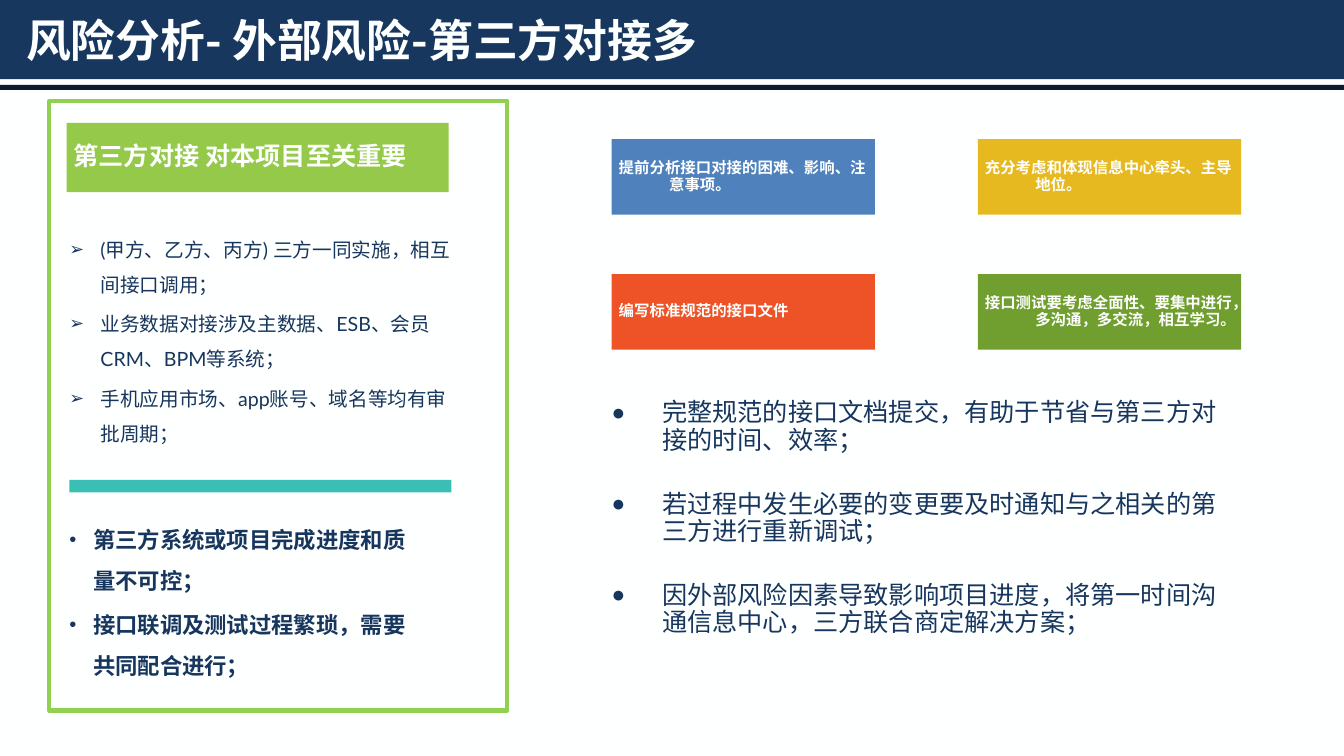
from dataclasses import dataclass

from pptx import Presentation
from pptx.dml.color import RGBColor
from pptx.enum.shapes import MSO_SHAPE
from pptx.enum.text import MSO_ANCHOR, MSO_AUTO_SIZE, PP_ALIGN
from pptx.oxml.ns import qn
from pptx.oxml.xmlchemy import OxmlElement
from pptx.util import Pt


@dataclass(frozen=True)
class Theme:
    paper: str = "FEFFFF"
    banner: str = "17375E"
    rule: str = "0C1B2F"
    ink: str = "17365E"
    frame: str = "92D050"
    headline: str = "94C949"
    divider: str = "3BBEB4"
    blue: str = "4F81BD"
    yellow: str = "E7B921"
    orange: str = "ED5326"
    green: str = "709E2F"
    latin: str = "Lato"
    chinese: str = "Noto Sans CJK SC"
    title_size: int = 32
    large_size: int = 18
    concern_size: int = 16
    fact_size: int = 14
    tile_size: int = 11


THEME = Theme()

FACTS = [
    "(甲方、乙方、丙方) 三方一同实施，相互间接口调用；",
    "业务数据对接涉及主数据、ESB、会员CRM、BPM等系统；",
    "手机应用市场、app账号、域名等均有审批周期；",
]
CONCERNS = [
    "第三方系统或项目完成进度和质量不可控；",
    "接口联调及测试过程繁琐，需要共同配合进行；",
]
NOTES = [
    "完整规范的接口文档提交，有助于节省与第三方对接的时间、效率；",
    "若过程中发生必要的变更要及时通知与之相关的第三方进行重新调试；",
    "因外部风险因素导致影响项目进度，将第一时间沟通信息中心，三方联合商定解决方案；",
]
# Text, colour and right inset of each measure, row by row
MEASURES = [
    ("提前分析接口对接的困难、影响、注意事项。", THEME.blue, 0),
    ("充分考虑和体现信息中心牵头、主导地位。", THEME.yellow, 0),
    ("编写标准规范的接口文件", THEME.orange, 5),
    ("接口测试要考虑全面性、要集中进行，多沟通，多交流，相互学习。", THEME.green, 5),
]


def add_box(slide, box, fill=None, line=None):
    shape = slide.shapes.add_shape(MSO_SHAPE.RECTANGLE, *map(Pt, box))
    shape.shadow.inherit = False
    if fill:
        shape.fill.solid()
        shape.fill.fore_color.rgb = RGBColor.from_string(fill)
    else:
        shape.fill.background()
    if line:
        shape.line.color.rgb = RGBColor.from_string(line)
        shape.line.width = Pt(3)
    else:
        shape.line.fill.background()
    return shape


def set_bullet(paragraph, char, indent):
    properties = paragraph._p.get_or_add_pPr()
    properties.set("marL", str(Pt(indent)))
    properties.set("indent", str(-Pt(indent)))
    if char:
        for tag, key, value in (("a:buSzPct", "val", "90000"),
                                ("a:buFont", "typeface", "Arial"),
                                ("a:buChar", "char", char)):
            element = OxmlElement(tag)
            element.set(key, value)
            properties.append(element)


def write(shape, texts, size, color, bold=False, latin=THEME.latin, char=None,
          indent=0, spacing=0.9, gap=None, insets=(0, 0, 0, 0), anchor=MSO_ANCHOR.TOP):
    frame = shape.text_frame
    frame.word_wrap = True
    frame.vertical_anchor = anchor
    (frame.margin_left, frame.margin_top,
     frame.margin_right, frame.margin_bottom) = map(Pt, insets)
    for index, text in enumerate(texts):
        paragraph = frame.add_paragraph() if index else frame.paragraphs[0]
        paragraph.text = text
        set_bullet(paragraph, char, indent)
        paragraph.alignment = PP_ALIGN.LEFT
        paragraph.line_spacing = spacing
        paragraph.space_before = Pt(0.2 * size if gap is None else gap)
        font = paragraph.font
        font.size = Pt(size)
        font.bold = bold
        font.color.rgb = RGBColor.from_string(color)
        font.name = latin
        east_asian = OxmlElement("a:ea")
        east_asian.set("typeface", THEME.chinese)
        paragraph._p.pPr.find(qn("a:defRPr")).append(east_asian)


def add_text(slide, box, texts, size, color, **style):
    text_box = slide.shapes.add_textbox(*map(Pt, box))
    write(text_box, texts, size, color, **style)
    return text_box


def add_list(slide, box, texts, size, **style):
    bullets = add_text(slide, box, texts, size, THEME.ink, **style)
    bullets.text_frame.auto_size = MSO_AUTO_SIZE.SHAPE_TO_FIT_TEXT


def add_measures(slide):
    for index, (text, color, right_inset) in enumerate(MEASURES):
        row, column = divmod(index, 2)
        tile = add_box(slide, (437 + 261.5 * column, 99.4 + 96.4 * row, 188, 54), color)
        write(tile, [text], THEME.tile_size, THEME.paper, bold=True, indent=36,
              insets=(5, 5, right_inset, 5), anchor=MSO_ANCHOR.MIDDLE)


def main():
    deck = Presentation()
    deck.slide_width, deck.slide_height = Pt(960), Pt(540)
    slide = deck.slides.add_slide(deck.slide_layouts[6])
    slide.background.fill.solid()
    slide.background.fill.fore_color.rgb = RGBColor.from_string(THEME.paper)

    # Title banner
    add_box(slide, (0, 0, 960, 56.6), THEME.banner)
    add_box(slide, (0, 60.6, 960, 3.6), THEME.rule)
    add_text(slide, (11.5, 6.5, 937.5, 43), ["风险分析- 外部风险-第三方对接多"],
             THEME.title_size, THEME.paper, bold=True, latin=THEME.chinese, spacing=1.0,
             gap=0, insets=(7.2, 0, 7.2, 0), anchor=MSO_ANCHOR.MIDDLE)

    # Framed panel on the left
    headline = add_box(slide, (47.5, 87.8, 273, 49.5), THEME.headline)
    write(headline, ["第三方对接 对本项目至关重要"], THEME.large_size, THEME.paper,
          bold=True, insets=(5, 5, 5, 5), anchor=MSO_ANCHOR.MIDDLE)
    add_list(slide, (49.5, 366.5, 246, 120), CONCERNS, THEME.concern_size,
             bold=True, char="•", indent=17, spacing=1.5)
    add_box(slide, (49.5, 342.7, 273, 9), THEME.divider)
    add_box(slide, (35.3, 72, 327, 435.6), line=THEME.frame)
    add_list(slide, (49.5, 161.3, 282, 159), FACTS, THEME.fact_size,
             char="➢", indent=22.3, spacing=1.5)

    # Measures and notes on the right
    add_measures(slide)
    add_list(slide, (437, 280.8, 443, 203), NOTES, THEME.large_size,
             char="●", indent=36, gap=26.4, insets=(0, 5, 0, 0))

    deck.save("out.pptx")


main()
